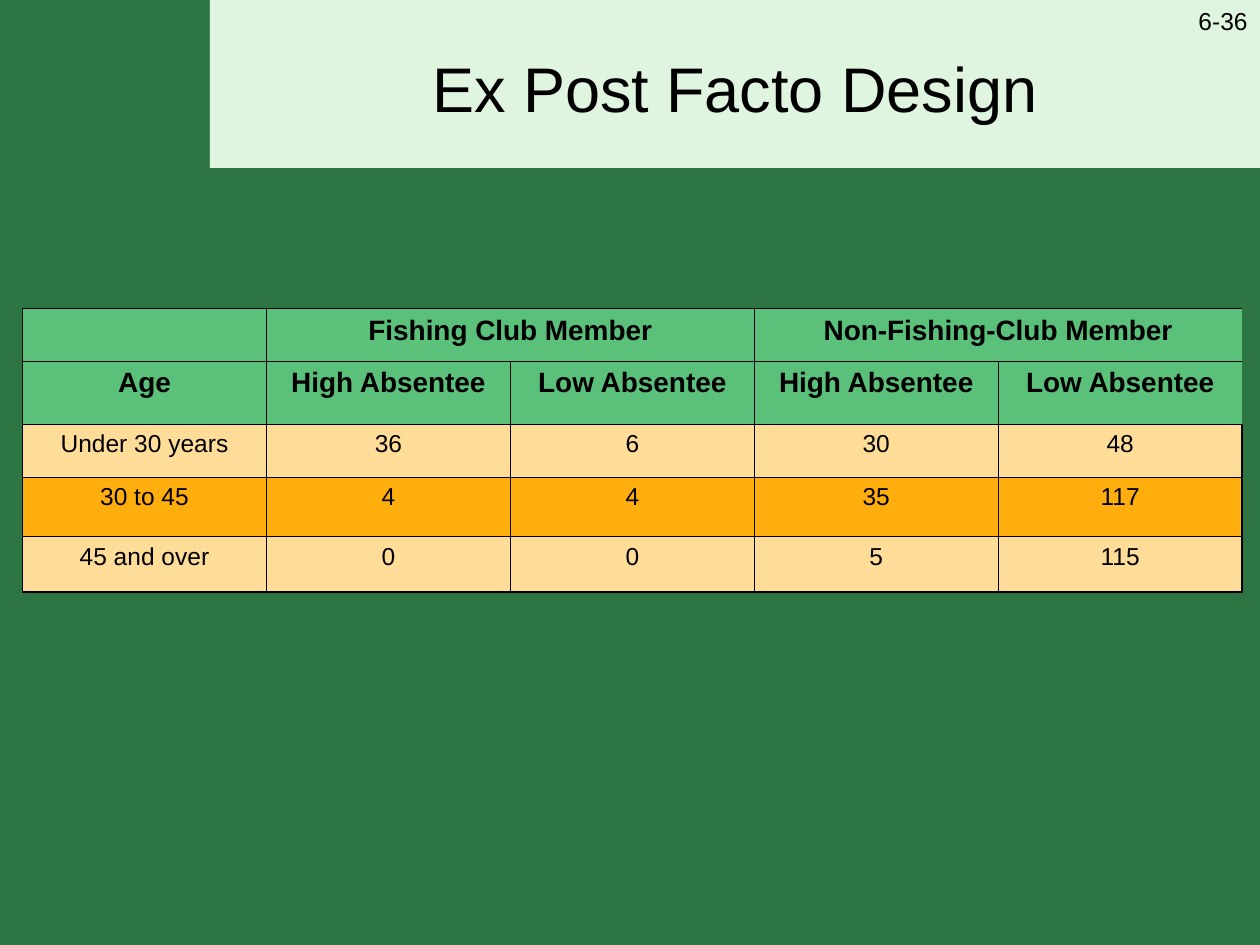
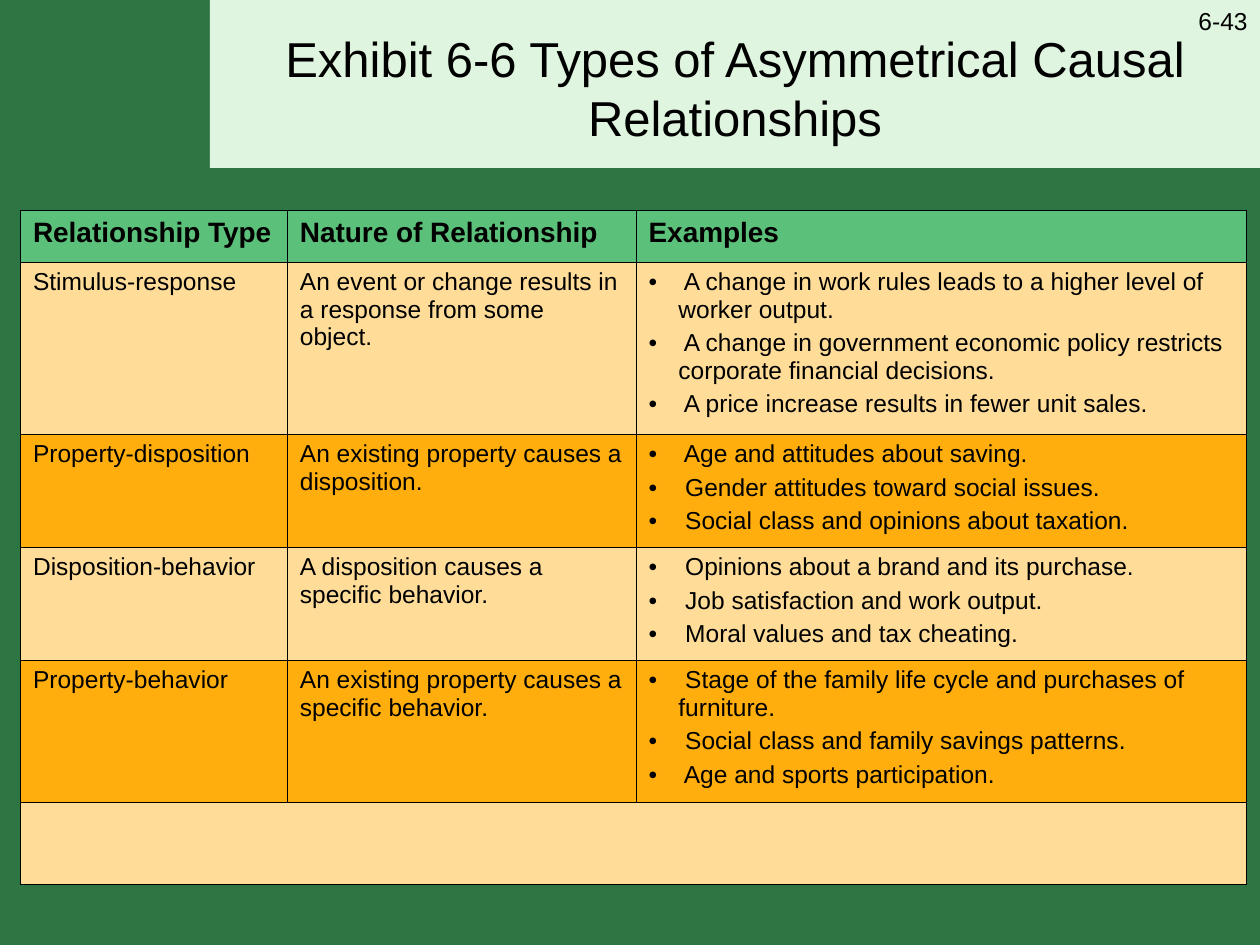
from lxml.etree import SubElement
from pptx import Presentation
from pptx.dml.color import RGBColor
from pptx.enum.shapes import MSO_SHAPE as Shape
from pptx.enum.text import MSO_ANCHOR as Anchor, PP_ALIGN as Align
from pptx.oxml.ns import qn
from pptx.util import Pt

FONT = "Arial"
BLACK = "000000"
BACKDROP = "2D7543"
BAND = "DFF5DF"
HEADER = "5AC07A"
STRIPES = ("FFDD99", "FFAE0D")
PLAIN_TABLE_STYLE = "{2D5ABB26-0587-4C30-8999-92F81FD0307C}"
THIN, THICK = 0.45, 1.08
BAND_BOX = (120, 0, 600, 96)
TITLE_BOX = (120, 3.6, 600, 92.4)
NUMBER_BOX = (552, 0, 168, 37.4)

ABSENTEE_ROWS = [
    [None, "Fishing Club Member", None, "Non-Fishing-Club Member", None],
    ["Age"] + ["High Absentee", "Low Absentee"] * 2,
    ["Under 30 years", "36", "6", "30", "48"],
    ["30 to 45", "4", "4", "35", "117"],
    ["45 and over", "0", "0", "5", "115"],
]

CAUSAL_ROWS = [
    ["Relationship Type", "Nature of Relationship", "Examples"],
    ["Stimulus-response",
     "An event or change results in a response from some object.",
     ["A change in work rules leads to a higher level of worker output.",
      "A change in government economic policy restricts corporate financial decisions.",
      "A price increase results in fewer unit sales."]],
    ["Property-disposition",
     "An existing property causes a disposition.",
     ["Age and attitudes about saving.",
      "Gender attitudes toward social issues.",
      "Social class and opinions about taxation."]],
    ["Disposition-behavior",
     "A disposition causes a specific behavior.",
     ["Opinions about a brand and its purchase.",
      "Job satisfaction and work output.",
      "Moral values and tax cheating."]],
    ["Property-behavior",
     "An existing property causes a specific behavior.",
     ["Stage of the family life cycle and purchases of furniture.",
      "Social class and family savings patterns.",
      "Age and sports participation."]],
    [None, None, None],
]


def color(hex_value):
    return RGBColor.from_string(hex_value)


def points(box):
    return [Pt(length) for length in box]


def paint(fill, hex_value):
    fill.solid()
    fill.fore_color.rgb = color(hex_value)


def add_bullet(paragraph, indent=17):
    properties = paragraph._p.get_or_add_pPr()
    properties.set("marL", str(Pt(indent)))
    properties.set("indent", str(Pt(-indent)))
    SubElement(properties, qn("a:buFont"), typeface=FONT)
    SubElement(properties, qn("a:buChar"), char="•")


def write(frame, content, size=14, bold=False, align=Align.LEFT):
    frame.word_wrap = True
    bulleted = isinstance(content, list)
    for index, text in enumerate(content if bulleted else [content]):
        paragraph = frame.add_paragraph() if index else frame.paragraphs[0]
        paragraph.alignment = align
        paragraph.space_before = Pt(3.4 if index else 0)
        if bulleted:
            add_bullet(paragraph)
        run = paragraph.add_run()
        run.text = f" {text}" if bulleted else text
        run.font.name = FONT
        run.font.size = Pt(size)
        run.font.bold = bold
        run.font.color.rgb = color(BLACK)


def add_heading(slide, title, number, size):
    band = slide.shapes.add_shape(Shape.RECTANGLE, *points(BAND_BOX))
    band.shadow.inherit = False
    paint(band.fill, BAND)
    band.line.fill.background()
    slide.shapes.element.insert(2, band.element)

    heading = slide.shapes.title
    heading.left, heading.top, heading.width, heading.height = points(TITLE_BOX)
    heading.text_frame.vertical_anchor = Anchor.MIDDLE
    write(heading.text_frame, title, size=size, align=Align.CENTER)
    number_box = slide.shapes.add_textbox(*points(NUMBER_BOX))
    write(number_box.text_frame, number, align=Align.RIGHT)


def set_borders(cell, **widths):
    properties = cell._tc.get_or_add_tcPr()
    for side, width in widths.items():
        if width:
            line = SubElement(properties, qn(f"a:ln{side}"), w=str(Pt(width)))
            fill = SubElement(line, qn("a:solidFill"))
            SubElement(fill, qn("a:srgbClr"), val=BLACK)


def add_grid(slide, left, top, columns, heights, rows, merges,
             header_rows=1, align=Align.LEFT, header_right=THICK):
    box = points((left, top, sum(columns), sum(heights)))
    graphic_frame = slide.shapes.add_table(len(rows), len(columns), *box)
    for style in graphic_frame.element.iter(qn("a:tableStyleId")):
        style.text = PLAIN_TABLE_STYLE
    table = graphic_frame.table
    table.first_row = table.horz_banding = False
    for column, width in zip(table.columns, columns):
        column.width = Pt(width)
    for row, height in zip(table.rows, heights):
        row.height = Pt(height)
    for row, first, last in merges:
        table.cell(row, first).merge(table.cell(row, last))

    for r, contents in enumerate(rows):
        is_header = r < header_rows
        right_edge = header_right if is_header else THICK
        for c, content in enumerate(contents):
            cell = table.cell(r, c)
            if not cell.is_spanned:
                end = c + cell.span_width
                set_borders(cell,
                            L=THIN if c else THICK,
                            R=right_edge if end == len(columns) else THIN,
                            T=THIN if r else THICK,
                            B=THICK if r == len(rows) - 1 else THIN)
            paint(cell.fill, HEADER if is_header else STRIPES[(r - header_rows) % 2])
            if content:
                write(cell.text_frame, content, size=16 if is_header else 14,
                      bold=is_header, align=align)


def build_ex_post_facto(slide):
    add_heading(slide, "Ex Post Facto Design", "6-36", size=36)
    add_grid(slide, 12.9, 176.3, [139.4] * 5, [30, 36, 30.5, 34, 31.5],
             ABSENTEE_ROWS, merges=[(0, 1, 2), (0, 3, 4)],
             header_rows=2, align=Align.CENTER, header_right=0)


def build_causal_types(slide):
    add_heading(slide, "Exhibit 6-6 Types of Asymmetrical Causal Relationships",
                "6-43", size=28)
    add_grid(slide, 11.7, 120.3, [152.5, 199.3, 348.9],
             [29.6, 98.3, 64.6, 64.6, 81.2, 46.9],
             CAUSAL_ROWS, merges=[(5, 0, 2)])


def main():
    presentation = Presentation()
    presentation.slide_width, presentation.slide_height = Pt(720), Pt(540)
    paint(presentation.slide_master.background.fill, BACKDROP)
    layout = presentation.slide_layouts.get_by_name("Title Only")
    for build in (build_ex_post_facto, build_causal_types):
        build(presentation.slides.add_slide(layout))
    presentation.save("out.pptx")


if __name__ == "__main__":
    main()
